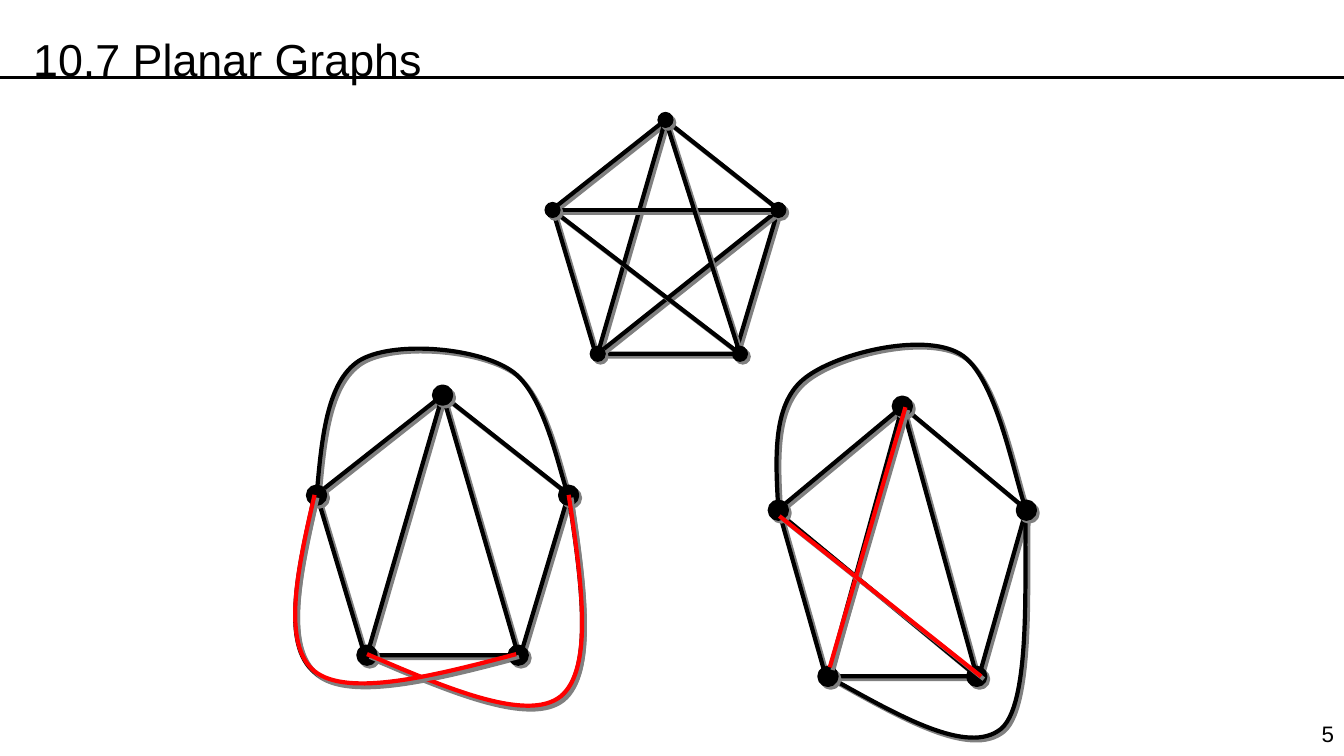
from dataclasses import dataclass

from lxml.etree import SubElement
from pptx import Presentation
from pptx.dml.color import RGBColor
from pptx.enum.shapes import MSO_CONNECTOR as Connector, MSO_SHAPE as Preset
from pptx.enum.text import MSO_ANCHOR as Anchor, PP_ALIGN as Align
from pptx.oxml.ns import qn
from pptx.util import Inches, Pt


@dataclass(frozen=True)
class Theme:
    ink: str = "000000"
    highlight: str = "FF0000"
    shadow: str = "808080"
    font: str = "Arial"
    title_size: float = 32
    number_size: float = 16
    edge: float = 3
    rule: float = 2.25
    shadow_distance: float = 2.8


THEME = Theme()
TITLE = "10.7 Planar Graphs"
SLIDE_NUMBER = "5"

TOP, RIGHT, LOWER_RIGHT, LOWER_LEFT, LEFT = range(5)
CORNERS = [(0.5, 0), (1, 0.385), (0.8, 1), (0.2, 1), (0, 0.385)]
SKEWED_CORNERS = [(0.5, 0), (1, 0.385), (0.83, 1), (0.2, 1), (0, 0.385)]
FAN = [(TOP, LOWER_LEFT), (TOP, LOWER_RIGHT)]
STAR = [(TOP, LOWER_LEFT), (LOWER_LEFT, RIGHT), (RIGHT, LEFT),
        (LEFT, LOWER_RIGHT), (LOWER_RIGHT, TOP)]

LEFT_LOOP = [(3.12, 4.92), (2.95, 5.66), (2.79, 6.4), (3.12, 6.67),
             (3.45, 6.93), (4.29, 6.72), (5.12, 6.5)]
RIGHT_LOOP = [(5.64, 4.92), (5.77, 5.78), (5.89, 6.65), (5.56, 6.92),
              (5.23, 7.18), (4.43, 6.84), (3.64, 6.5)]
OVER_LEFT_GRAPH = [(3.14, 4.92), (3.19, 4.35), (3.24, 3.79), (3.56, 3.58),
                   (3.88, 3.38), (4.71, 3.44), (5.06, 3.67),
                   (5.41, 3.89), (5.55, 4.71), (5.64, 4.92)]
UNDER_RIGHT_GRAPH = [(8.21, 6.71), (8.91, 7.1), (9.6, 7.5), (9.93, 7.23),
                     (10.26, 6.95), (10.14, 5.42), (10.18, 5.06)]
OVER_RIGHT_GRAPH = [(7.72, 5.06), (7.69, 4.55), (7.66, 4.03), (7.96, 3.77),
                    (8.26, 3.51), (9.15, 3.29), (9.52, 3.51),
                    (9.89, 3.72), (10.07, 4.8), (10.18, 5.06)]

GRAPHS = [
    dict(box=(3.14, 3.92, 2.5, 2.58), corners=CORNERS, chords=FAN, lines=[],
         curves=[LEFT_LOOP, OVER_LEFT_GRAPH, RIGHT_LOOP], dot=0.17, outline=3),
    dict(box=(5.48, 1.19, 2.24, 2.32), corners=SKEWED_CORNERS, chords=STAR,
         lines=[], curves=[], dot=0.15, outline=0.75),
    dict(box=(7.72, 4.03, 2.46, 2.68), corners=CORNERS, chords=FAN,
         lines=[((9.69, 6.71), (7.8, 5.15))],
         curves=[UNDER_RIGHT_GRAPH, OVER_RIGHT_GRAPH], dot=0.17, outline=3),
]
CROSSING_CURVES = [[(x, y - 0.01) for x, y in loop]
                   for loop in (RIGHT_LOOP, LEFT_LOOP)]
CROSSING_LINES = [((8.98, 4.04), (8.23, 6.62)), ((7.73, 5.12), (9.73, 6.71))]


def style_line(shape, color, width):
    shape.line.color.rgb = RGBColor.from_string(color)
    shape.line.width = Pt(width)


def add_effects(shape, shadowed=True):
    effects = SubElement(shape._element.spPr, qn("a:effectLst"))
    if shadowed:
        shadow = SubElement(effects, qn("a:outerShdw"), blurRad="0",
                            dist=str(int(Pt(THEME.shadow_distance))),
                            dir="2700000", algn="ctr", rotWithShape="0")
        SubElement(shadow, qn("a:srgbClr"), val=THEME.shadow)


def add_line(shapes, start, end, color=THEME.ink, width=THEME.edge, shadowed=True):
    line = shapes.add_connector(Connector.STRAIGHT, *map(Inches, (*start, *end)))
    style_line(line, color, width)
    add_effects(line, shadowed)


def add_curve(shapes, points, color=THEME.ink):
    start, *rest = [(Inches(x), Inches(y)) for x, y in points]
    builder = shapes.build_freeform(*start)
    builder.add_line_segments(rest, close=False)
    curve = builder.convert_to_shape()
    outline = next(curve._element.iter(qn("a:path")))
    segments = outline.findall(qn("a:lnTo"))
    for first in range(0, len(segments), 3):
        bezier = SubElement(outline, qn("a:cubicBezTo"))
        for segment in segments[first:first + 3]:
            bezier.append(segment[0])
            outline.remove(segment)
    curve.fill.background()
    style_line(curve, color, THEME.edge)
    add_effects(curve)


def add_preset(shapes, preset, box, width, fill=None):
    shape = shapes.add_shape(preset, *map(Inches, box))
    if fill:
        shape.fill.solid()
        shape.fill.fore_color.rgb = RGBColor.from_string(fill)
    else:
        shape.fill.background()
    style_line(shape, THEME.ink, width)
    add_effects(shape)


def add_graph(slide, box, corners, chords, lines, curves, dot, outline):
    shapes = slide.shapes.add_group_shape().shapes
    left, top, width, height = box
    vertices = [(left + x * width, top + y * height) for x, y in corners]
    add_preset(shapes, Preset.REGULAR_PENTAGON, box, THEME.edge)
    for start, end in [(vertices[a], vertices[b]) for a, b in chords] + lines:
        add_line(shapes, start, end)
    for curve in curves:
        add_curve(shapes, curve)
    for x, y in vertices:
        add_preset(shapes, Preset.OVAL, (x - dot / 2, y - dot / 2, dot, dot),
                   outline, THEME.ink)


def add_text(slide, text, box, size, align, spacing=1.0):
    frame = slide.shapes.add_textbox(*map(Inches, box)).text_frame
    frame.word_wrap = True
    frame.vertical_anchor = Anchor.TOP
    paragraph = frame.paragraphs[0]
    paragraph.alignment = align
    paragraph.line_spacing = spacing
    run = paragraph.add_run()
    run.text = text
    run.font.name = THEME.font
    run.font.size = Pt(size)
    run.font.color.rgb = RGBColor.from_string(THEME.ink)


def main():
    presentation = Presentation()
    presentation.slide_width = Inches(13.33)
    presentation.slide_height = Inches(7.5)
    slide = presentation.slides.add_slide(presentation.slide_layouts[6])
    add_line(slide.shapes, (0, 0.77), (13.33, 0.77), width=THEME.rule, shadowed=False)
    add_text(slide, SLIDE_NUMBER, (12.7, 7.1, 0.63, 0.37), THEME.number_size, Align.RIGHT)
    for graph in GRAPHS:
        add_graph(slide, **graph)
    for curve in CROSSING_CURVES:
        add_curve(slide.shapes, curve, THEME.highlight)
    for start, end in CROSSING_LINES:
        add_line(slide.shapes, start, end, THEME.highlight)
    add_text(slide, TITLE, (0.23, 0, 12.09, 0.81), THEME.title_size, Align.LEFT, 1.5)
    presentation.save("out.pptx")


if __name__ == "__main__":
    main()
